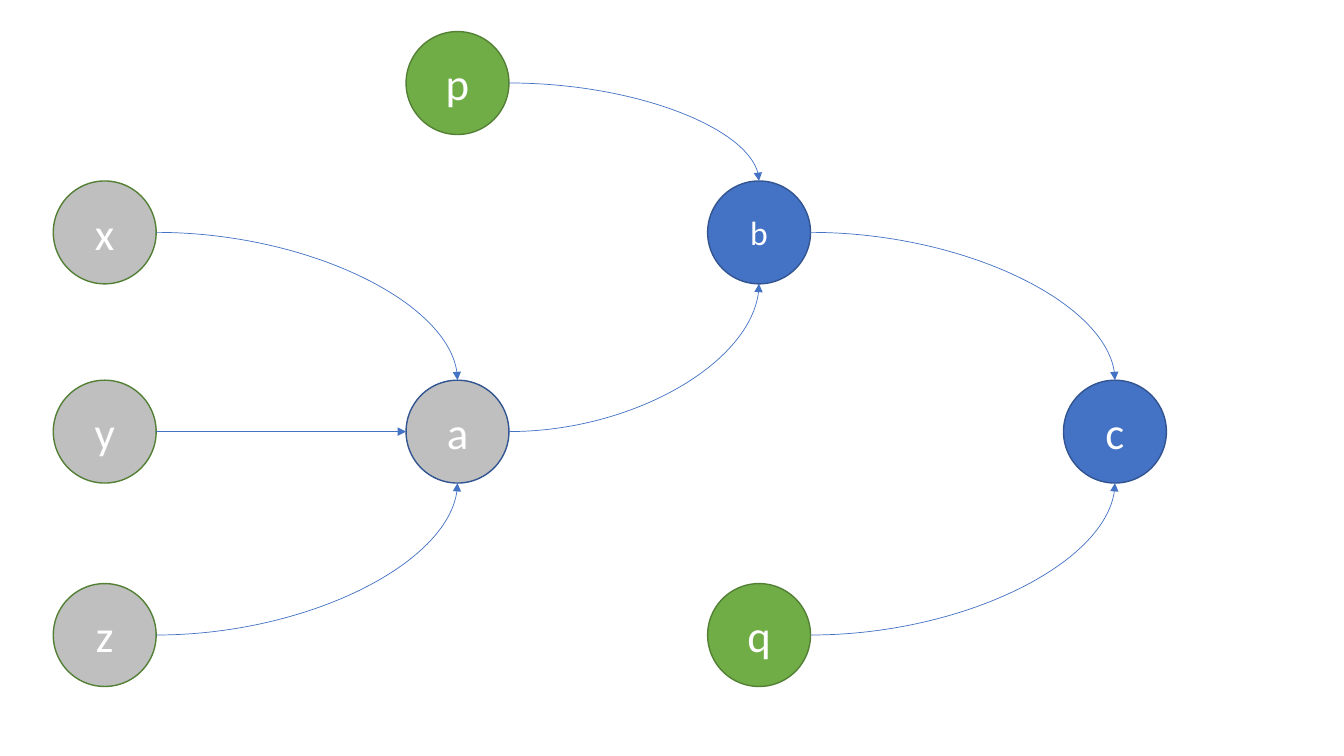
"""Draw a computation graph whose inputs x, y, z, p and q feed nodes a, b and c."""
from typing import NamedTuple

import lxml.etree
import pptx
import pptx.dml.color
import pptx.enum.shapes
import pptx.enum.text
import pptx.oxml.ns
import pptx.slide
import pptx.util

Pt = pptx.util.Pt
COLORS = {
    "gray": "BFBFBF",
    "green": "70AD47",
    "blue": "4472C4",
    "dark_green": "538035",
    "dark_blue": "325491",
    "white": "FFFFFF",
}
DIAMETER = 73.5
RADIUS = DIAMETER / 2
COLUMNS = (74.8, 326.8, 542.2, 796.4)
ROWS = (59.3, 166, 308.3, 453.6)


class Node(NamedTuple):
    column: int
    row: int
    fill: str
    line: str
    size: int = 32

    @property
    def x(self) -> float:
        return COLUMNS[self.column]

    @property
    def y(self) -> float:
        return ROWS[self.row]


class Edge(NamedTuple):
    source: str
    target: str


NODES = {
    "a": Node(1, 2, "gray", "dark_blue"),
    "b": Node(2, 1, "blue", "dark_blue", 24),
    "c": Node(3, 2, "blue", "dark_blue"),
    "x": Node(0, 1, "gray", "dark_green"),
    "y": Node(0, 2, "gray", "dark_green"),
    "z": Node(0, 3, "gray", "dark_green"),
    "p": Node(1, 0, "green", "dark_green"),
    "q": Node(2, 3, "green", "dark_green"),
}
EDGES = [Edge(*pair) for pair in ("xa", "ya", "za", "ab", "pb", "bc", "qc")]


def rgb(name: str) -> pptx.dml.color.RGBColor:
    return pptx.dml.color.RGBColor.from_string(COLORS[name])


def draw_node(s: pptx.slide.Slide, label: str, node: Node) -> None:
    sp = s.shapes.add_shape(
        pptx.enum.shapes.MSO_SHAPE.OVAL,
        Pt(node.x - RADIUS), Pt(node.y - RADIUS), Pt(DIAMETER), Pt(DIAMETER),
    )
    sp.shadow.inherit = False
    sp.fill.solid()
    sp.fill.fore_color.rgb = rgb(node.fill)
    sp.line.color.rgb = rgb(node.line)
    sp.line.width = Pt(1)
    tf = sp.text_frame
    tf.text = label
    tf.vertical_anchor = pptx.enum.text.MSO_ANCHOR.MIDDLE
    p = tf.paragraphs[0]
    p.alignment = pptx.enum.text.PP_ALIGN.CENTER
    r = p.runs[0]
    r.font.name = "Calibri"
    r.font.size = Pt(node.size)
    r.font.color.rgb = rgb("white")


def draw_edge(s: pptx.slide.Slide, edge: Edge) -> None:
    source, target = NODES[edge.source], NODES[edge.target]
    straight = source.row == target.row
    kinds = pptx.enum.shapes.MSO_CONNECTOR
    if straight:
        kind, end_x, end_y = kinds.STRAIGHT, target.x - RADIUS, target.y
    else:
        side = -RADIUS if source.row < target.row else RADIUS
        kind, end_x, end_y = kinds.CURVE, target.x, target.y + side
    cxn = s.shapes.add_connector(
        kind, Pt(source.x + RADIUS), Pt(source.y), Pt(end_x), Pt(end_y)
    )
    cxn.line.color.rgb = rgb("blue")
    cxn.line.width = Pt(0.5)
    qn = pptx.oxml.ns.qn
    sp_pr = cxn._element.spPr
    if not straight:
        sp_pr.find(qn("a:prstGeom")).set("prst", "curvedConnector2")
    lxml.etree.SubElement(sp_pr.find(qn("a:ln")), qn("a:tailEnd"), type="triangle")
    lxml.etree.SubElement(sp_pr, qn("a:effectLst"))


def main() -> None:
    prs = pptx.Presentation()
    prs.slide_width, prs.slide_height = Pt(960), Pt(540)
    s = prs.slides.add_slide(prs.slide_layouts[6])
    for label, node in NODES.items():
        draw_node(s, label, node)
    for edge in EDGES:
        draw_edge(s, edge)
    prs.save("out.pptx")


if __name__ == "__main__":
    main()
